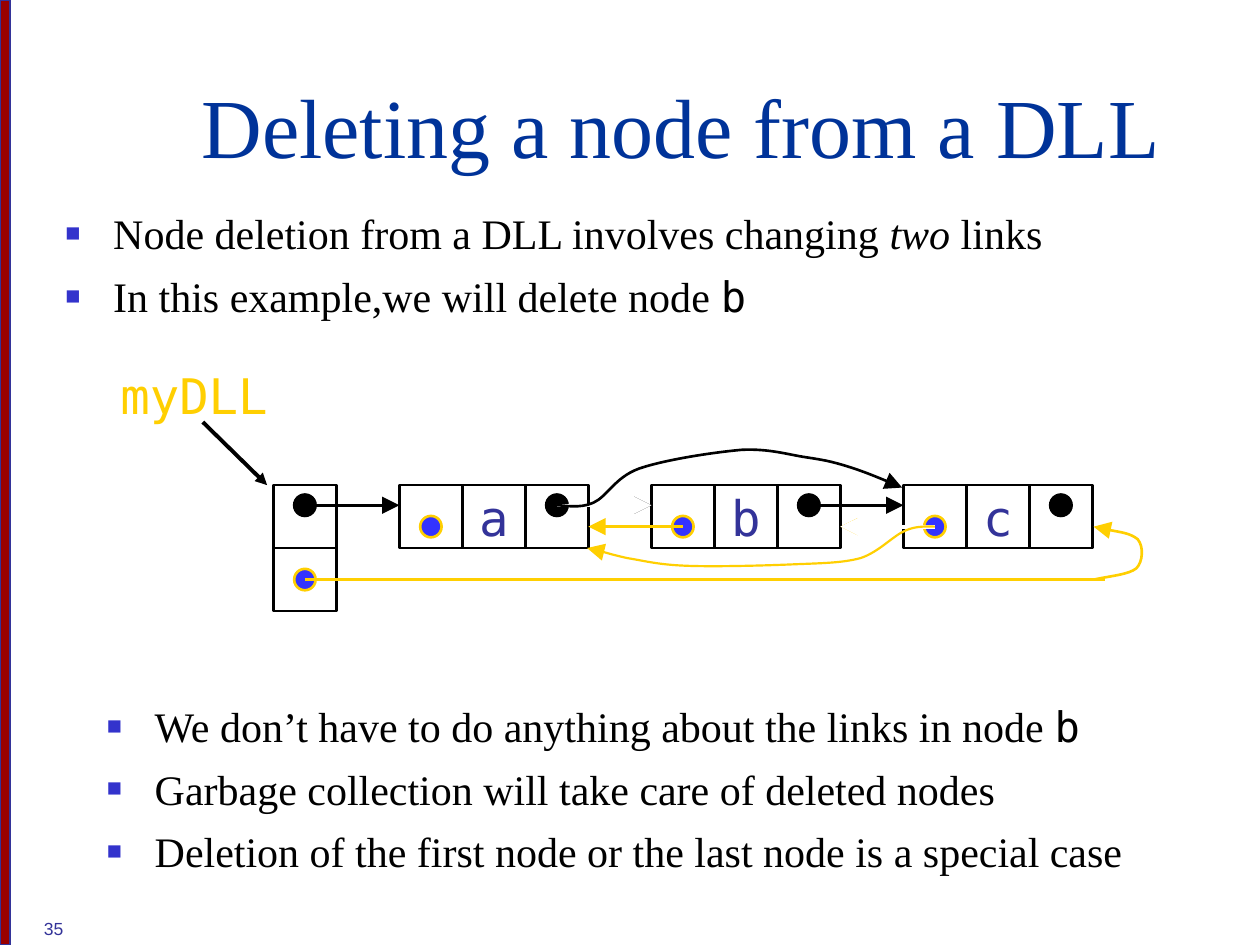
from lxml.etree import SubElement
from pptx import Presentation
from pptx.dml.color import RGBColor
from pptx.enum.shapes import MSO_CONNECTOR, MSO_SHAPE
from pptx.enum.text import MSO_ANCHOR, PP_ALIGN
from pptx.oxml.ns import qn
from pptx.util import Inches, Pt

COLORS = {
    "black": "000000", "white": "FFFFFF", "gold": "FFCF01", "dot": "3333FF",
    "bar": "990000", "indigo": "333399", "title": "003399", "bullet": "3333CC",
}
SERIF, MONO, SANS = "Times New Roman", "DejaVu Sans Mono", "Arial"
CELL, DOT = 0.5, 0.17
NEXT_Y, PREV_Y = 0.16, 0.33


def color(name):
    return RGBColor.from_string(COLORS[name])


def set_font(font, name, size, color_name):
    font.name, font.size = name, Pt(size)
    font.color.rgb = color(color_name)


def add_figure(page, kind, left, top, width, height, fill, line, weight):
    figure = page.shapes.add_shape(
        kind, Inches(left), Inches(top), Inches(width), Inches(height))
    figure.shadow.inherit = False
    if fill:
        figure.fill.solid()
        figure.fill.fore_color.rgb = color(fill)
    else:
        figure.fill.background()
    figure.line.color.rgb = color(line)
    figure.line.width = Pt(weight)
    return figure


def add_text(page, left, top, width, height):
    box = page.shapes.add_textbox(
        Inches(left), Inches(top), Inches(width), Inches(height))
    box.text_frame.word_wrap = True
    return box.text_frame


def add_arrowhead(figure, size="lg"):
    SubElement(figure.line._get_or_add_ln(), qn("a:tailEnd"),
               type="triangle", w=size, len=size)


def add_link(page, start, end, line="black", weight=1.5, head="lg"):
    link = page.shapes.add_connector(
        MSO_CONNECTOR.STRAIGHT, *(Inches(v) for v in (*start, *end)))
    link.line.color.rgb = color(line)
    link.line.width = Pt(weight)
    SubElement(link._element.spPr, qn("a:effectLst"))
    if head:
        add_arrowhead(link, head)


def add_curve(page, origin, points, line, weight):
    """Draw a Bezier arrow: a start point, then three points for each curve."""
    left, top = origin
    (start_x, start_y), *rest = [(left + x, top + y) for x, y in points]
    builder = page.shapes.build_freeform(
        Inches(start_x), Inches(start_y), scale=1.0)
    builder.add_line_segments(
        [(Inches(x), Inches(y)) for x, y in rest], close=False)
    curve = builder.convert_to_shape()
    segments = list(curve._element.iter(qn("a:lnTo")))
    for first in range(0, len(segments), 3):
        trio = segments[first:first + 3]
        bezier = SubElement(trio[0].getparent(), qn("a:cubicBezTo"))
        for segment in trio:
            bezier.append(segment[0])
            segment.getparent().remove(segment)
    curve.shadow.inherit = False
    curve.fill.background()
    curve.line.color.rgb = color(line)
    curve.line.width = Pt(weight)
    add_arrowhead(curve)


def add_cell(page, left, top, label=None):
    cell = add_figure(page, MSO_SHAPE.RECTANGLE, left, top, CELL, CELL,
                      None, "black", 1.5)
    if label:
        frame = cell.text_frame
        frame.word_wrap = False
        frame.vertical_anchor = MSO_ANCHOR.MIDDLE
        para = frame.paragraphs[0]
        para.text, para.alignment = label, PP_ALIGN.CENTER
        set_font(para.font, MONO, 28, "indigo")


def add_dot(page, center, fill, line):
    x, y = center
    add_figure(page, MSO_SHAPE.OVAL, x - DOT / 2, y - DOT / 2, DOT, DOT,
               fill, line, 1.5)


def add_node(page, left, top, label):
    """Draw previous, value and next cells; return both pointer centers."""
    for column, text in enumerate((None, label, None)):
        add_cell(page, left + column * CELL, top, text)
    previous = (left + CELL / 2, top + PREV_Y)
    following = (left + 2.5 * CELL, top + NEXT_Y)
    add_dot(page, previous, "dot", "gold")
    add_dot(page, following, "black", "black")
    return previous, following


def add_header(page, left, top):
    """Draw the list header; return its first and last pointer centers."""
    first = (left + CELL / 2, top + NEXT_Y)
    last = (left + CELL / 2, top + CELL + 0.25)
    add_cell(page, left, top)
    add_cell(page, left, top + CELL)
    add_dot(page, first, "black", "black")
    add_dot(page, last, "dot", "gold")
    return first, last


def add_list_diagram(page, left, top):
    para = add_text(page, left - 1.34, top - 1, 1.42, 0.57).paragraphs[0]
    para.text, para.alignment = "myDLL", PP_ALIGN.CENTER
    set_font(para.font, MONO, 28, "gold")
    add_link(page, (left - 0.56, top - 0.5), (left - 0.05, top),
             weight=2.25, head="med")

    first, last = add_header(page, left, top)
    (_, a_next), (b_prev, b_next), (c_prev, _) = [
        add_node(page, left + 1 + 2 * index, top, label)
        for index, label in enumerate("abc")]

    def shift(point, distance):
        return point[0] + distance, point[1]

    for pointer in (first, a_next, b_next):
        add_link(page, pointer, shift(pointer, 0.75))
    for pointer in (b_prev, c_prev):
        add_link(page, pointer, shift(pointer, -0.75), "gold")
    add_link(page, last, shift(last, 6.35), "gold", head=None)
    add_curve(page, (left, top), [
        (6.51, 0.75), (6.65, 0.72), (6.79, 0.71), (6.85, 0.66),
        (6.9, 0.61), (6.91, 0.49), (6.86, 0.43),
        (6.8, 0.38), (6.59, 0.35), (6.51, 0.33)], "gold", 1.5)

    # White lines blank out the two links that the deletion replaces.
    add_link(page, c_prev, shift(c_prev, -0.75), "white", 2.25)
    add_link(page, a_next, shift(a_next, 0.75), "white")
    add_curve(page, (left, top), [
        (2.25, 0.16), (2.3, 0.16), (2.43, 0.19), (2.54, 0.14),
        (2.65, 0.09), (2.71, -0.06), (2.9, -0.13),
        (3.1, -0.2), (3.49, -0.26), (3.72, -0.28),
        (3.94, -0.29), (4.09, -0.24), (4.23, -0.22),
        (4.36, -0.2), (4.42, -0.19), (4.55, -0.15),
        (4.68, -0.11), (4.9, -0.02), (4.99, 0.02)], "black", 1.5)
    add_curve(page, (left, top), [
        (5.25, 0.33), (5.21, 0.33), (5.11, 0.32), (5.02, 0.36),
        (4.92, 0.4), (4.81, 0.53), (4.66, 0.58),
        (4.51, 0.62), (4.35, 0.62), (4.11, 0.63),
        (3.88, 0.64), (3.47, 0.65), (3.26, 0.64),
        (3.04, 0.63), (2.94, 0.6), (2.81, 0.58),
        (2.68, 0.55), (2.55, 0.51), (2.49, 0.5)], "gold", 1.25)


def add_bullets(page, left, top, width, height, items):
    """Each item is a list of (text, style) pairs; style is '', 'i' or 'code'."""
    frame = add_text(page, left, top, width, height)
    for index, item in enumerate(items):
        para = frame.add_paragraph() if index else frame.paragraphs[0]
        para.space_before = Pt(7)
        set_font(para.font, SERIF, 24, "black")
        properties = para._p.get_or_add_pPr()
        properties.set("marL", str(Inches(0.38)))
        properties.set("indent", str(Inches(-0.38)))
        bullet = [("buClr", {}), ("buSzPct", {"val": "60000"}),
                  ("buFont", {"typeface": SANS}), ("buChar", {"char": "■"})]
        parts = [properties.makeelement(qn("a:" + tag), values)
                 for tag, values in bullet]
        SubElement(parts[0], qn("a:srgbClr"), val=COLORS["bullet"])
        properties.find(qn("a:defRPr")).addprevious(parts[0])
        for before, part in zip(parts, parts[1:]):
            before.addnext(part)
        for text, style in item:
            span = para.add_run()
            span.text = text
            set_font(span.font, MONO if style == "code" else SERIF, 24, "black")
            if style == "i":
                span.font.italic = True


def add_title(page, left, top, width, height):
    title = page.shapes.title
    title.left, title.top = Inches(left), Inches(top)
    title.width, title.height = Inches(width), Inches(height)
    title.text_frame.text = "Deleting a node from a DLL"
    title.text_frame.vertical_anchor = MSO_ANCHOR.BOTTOM
    para = title.text_frame.paragraphs[0]
    para.alignment = PP_ALIGN.LEFT
    set_font(para.font, SERIF, 48, "title")


def add_page_number(page, left, top, width, height):
    frame = add_text(page, left, top, width, height)
    frame.vertical_anchor = MSO_ANCHOR.BOTTOM
    frame.text = "35"
    set_font(frame.paragraphs[0].font, SANS, 10, "indigo")


def main():
    deck = Presentation()
    deck.slide_width, deck.slide_height = Inches(10), Inches(7.5)
    page = deck.slides.add_slide(deck.slide_layouts[5])
    add_figure(page, MSO_SHAPE.RECTANGLE, 0, 0, 0.08, 7.5, "bar", "indigo", 0.75)
    add_page_number(page, 0.25, 7, 8.28, 0.5)
    add_title(page, 1.5, 0.02, 8.42, 1.42)
    add_bullets(page, 0.42, 1.6, 9.38, 1, [
        [("Node deletion from a DLL involves changing ", ""),
         ("two", "i"), (" links", "")],
        [("In this example,we will delete node ", ""), ("b", "code")]])
    add_bullets(page, 0.75, 5.51, 8.5, 1.58, [
        [("We don’t have to do anything about the links in node ", ""),
         ("b", "code")],
        [("Garbage collection will take care of deleted nodes", "")],
        [("Deletion of the first node or the last node is a special case", "")]])
    add_list_diagram(page, 2.17, 3.85)
    deck.save("out.pptx")


if __name__ == "__main__":
    main()
